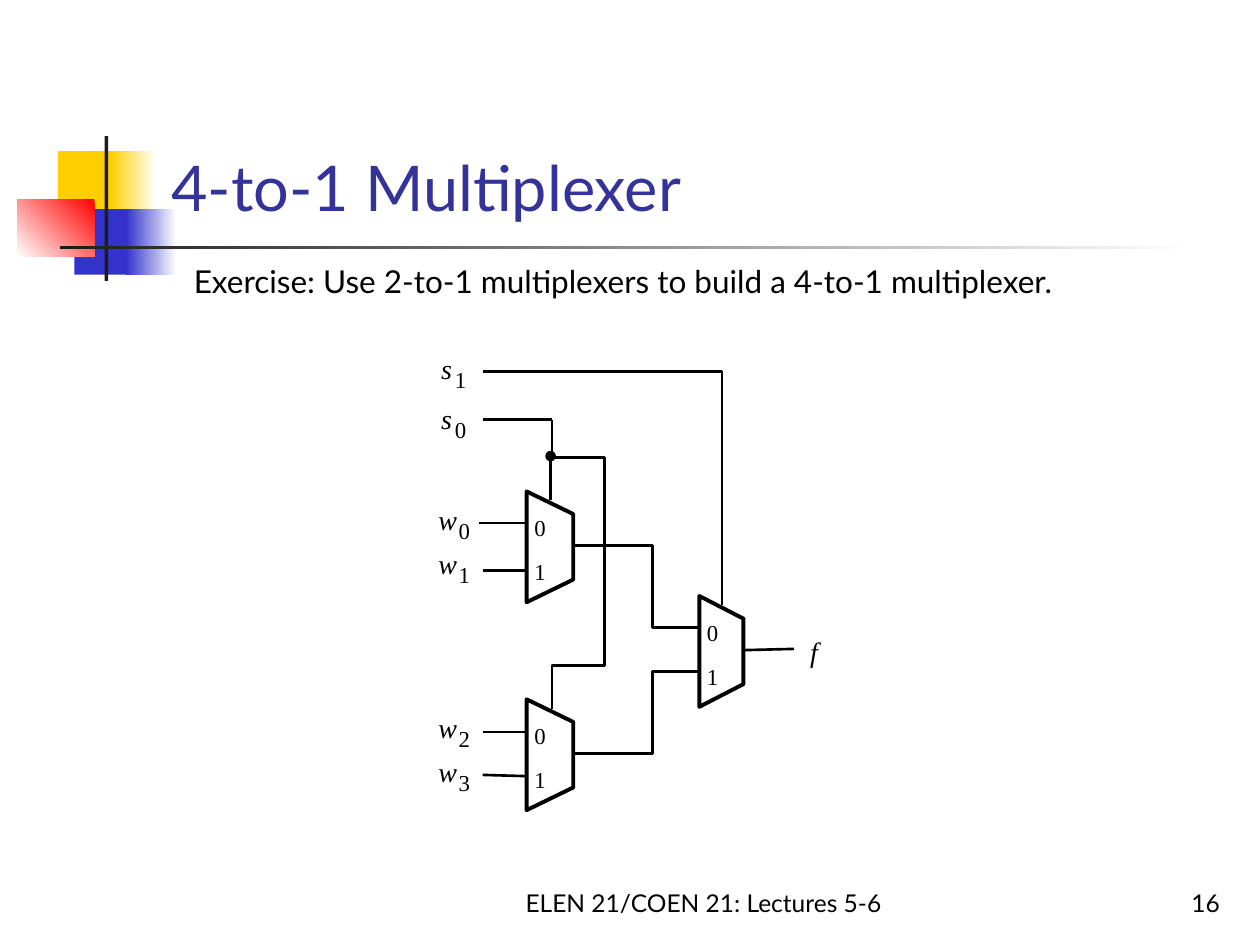
from pptx import Presentation
from pptx.dml.color import RGBColor
from pptx.enum.shapes import MSO_CONNECTOR, MSO_SHAPE
from pptx.enum.text import MSO_ANCHOR, PP_ALIGN
from pptx.oxml.ns import qn
from pptx.util import Inches, Pt

RECT, OVAL = MSO_SHAPE.RECTANGLE, MSO_SHAPE.OVAL
STRAIGHT = MSO_CONNECTOR.STRAIGHT
TOP, BOTTOM = MSO_ANCHOR.TOP, MSO_ANCHOR.BOTTOM
LEFT, CENTER, RIGHT = PP_ALIGN.LEFT, PP_ALIGN.CENTER, PP_ALIGN.RIGHT
SANS, SERIF = "Lato", "Times New Roman"
BLACK, WHITE = "000000", "FFFFFF"
YELLOW, BLUE, RED, DARK = "FFCF01", "3333CC", "FF0000", "1C1C1C"

# Title decoration: box, colours (two make a gradient), clockwise angle
DECORATION = [
    ((0.46, 1.2, 0.48, 0.52), [YELLOW], 0),
    ((0.88, 1.2, 0.36, 0.52), [WHITE, YELLOW], 180),
    ((0.59, 1.66, 0.46, 0.52), [BLUE], 0),
    ((1, 1.66, 0.4, 0.52), [WHITE, BLUE], 180),
    ((0.14, 1.58, 0.61, 0.46), [RED, WHITE], 135),
    ((0.83, 1.08, 0.03, 1.15), [DARK], 0),
    ((0.48, 1.95, 9, 0.03), [WHITE, DARK], 180),
]

# Slide texts: text, box, size, colour, alignment, anchor
TEXTS = [
    ("4-to-1 Multiplexer", (1.26, 0.23, 8.52, 1.6), 36, "333399", LEFT, BOTTOM),
    ("Exercise: Use 2-to-1 multiplexers to build a 4-to-1 multiplexer.",
     (0, 2.03, 9.89, 0.5), 18, BLACK, CENTER, TOP),
    ("ELEN 21/COEN 21: Lectures 5-6", (4, 6.83, 3.17, 0.5), 14, BLACK, CENTER, BOTTOM),
    ("16", (7.7, 6.83, 2.08, 0.5), 14, BLACK, RIGHT, BOTTOM),
]

# Multiplexers: left, top, width
MUXES = [(4.18, 3.9, 0.37), (4.18, 5.55, 0.37), (5.55, 4.73, 0.35)]
MUX_HEIGHT, MUX_SLANT = 0.88, 0.18

# Wires as lists of corners
WIRES = [
    [(3.83, 2.95), (5.73, 2.95), (5.73, 4.8)],                              # s1
    [(3.83, 3.33), (4.38, 3.33)],                                           # s0
    [(4.38, 3.33), (4.38, 3.63)],
    [(4.37, 3.62), (4.37, 3.97)],
    [(4.38, 3.63), (4.8, 3.63), (4.8, 5.28), (4.38, 5.28), (4.38, 5.63)],
    [(3.8, 4.15), (4.18, 4.15)],                                            # w0
    [(3.83, 4.53), (4.18, 4.53)],                                           # w1
    [(3.83, 5.81), (4.18, 5.81)],                                           # w2
    [(3.83, 6.15), (4.18, 6.16)],                                           # w3
    [(4.55, 4.33), (5.18, 4.33), (5.18, 4.98), (5.55, 4.98)],
    [(4.55, 5.98), (5.18, 5.98), (5.18, 5.33), (5.55, 5.33)],
    [(5.9, 5.16), (6.3, 5.15)],                                             # f
]
JUNCTION = (4.37, 3.62)

# Signals: letter, subscript, left, top
SIGNALS = [
    ("s", "1", 3.5, 2.79), ("s", "0", 3.5, 3.19),
    ("w", "0", 3.48, 3.99), ("w", "1", 3.48, 4.34),
    ("w", "2", 3.48, 5.64), ("w", "3", 3.48, 5.99),
    ("f", "", 6.43, 5.04),
]
SUBSCRIPT_LEFT = {"s": 3.61, "w": 3.64}

prs = Presentation()
prs.slide_width, prs.slide_height = Inches(10), Inches(7.5)
shapes = prs.slides.add_slide(prs.slide_layouts[6]).shapes


def color(hex_value):
    return RGBColor.from_string(hex_value)


def add_text(text, box, size, hex_value=BLACK, align=LEFT, anchor=TOP, font=SANS):
    textbox = shapes.add_textbox(*map(Inches, box))
    frame = textbox.text_frame
    frame.text = text
    frame.word_wrap = True
    frame.vertical_anchor = anchor
    paragraph = frame.paragraphs[0]
    paragraph.alignment = align
    style = paragraph.runs[0].font
    style.name, style.size = font, Pt(size)
    style.color.rgb = color(hex_value)
    return textbox


def add_label(text, left, top, size=13, width=0.15, italic=False):
    height = 0.27 if italic else 0.22
    frame = add_text(text, (left, top, width, height), size, font=SERIF).text_frame
    frame.word_wrap = False
    frame.margin_left = frame.margin_right = frame.margin_top = frame.margin_bottom = 0
    frame.paragraphs[0].runs[0].font.italic = italic


def set_line(shape, width):
    shape.line.color.rgb = color(BLACK)
    shape.line.width = Pt(width)


def add_outline(points, width, close=False):
    corners = [(Inches(x), Inches(y)) for x, y in points]
    builder = shapes.build_freeform(*corners[0])
    builder.add_line_segments(corners[1:], close=close)
    outline = builder.convert_to_shape()
    outline.shadow.inherit = False
    outline.fill.background()
    set_line(outline, width)


def add_wire(points):
    if len(points) > 2:
        add_outline(points, 1.5)
        return
    (x1, y1), (x2, y2) = points
    wire = shapes.add_connector(STRAIGHT, Inches(x1), Inches(y1), Inches(x2), Inches(y2))
    properties = wire._element.spPr
    set_line(wire, 1.5)
    properties.append(properties.makeelement(qn("a:effectLst"), {}))


def add_mux(left, top, width):
    right, bottom = left + width, top + MUX_HEIGHT
    add_outline([(right, bottom - MUX_SLANT), (right, top + MUX_SLANT),
                 (left, top), (left, bottom)], 2.25, close=True)
    for index, digit in enumerate("01"):
        add_label(digit, left + 0.06, top + 0.18 + 0.35 * index)


# Title decoration
for box, colors, angle in DECORATION:
    block = shapes.add_shape(RECT, *map(Inches, box))
    block.shadow.inherit = False
    block.line.fill.background()
    if len(colors) == 1:
        block.fill.solid()
        block.fill.fore_color.rgb = color(colors[0])
    else:
        block.fill.gradient()
        block.fill.gradient_angle = 360 - angle
        for stop, hex_value in zip(block.fill.gradient_stops, colors):
            stop.color.rgb = color(hex_value)

# Title, exercise and footer
for entry in TEXTS:
    add_text(*entry)

# Circuit
for wire_points in WIRES:
    add_wire(wire_points)
for mux in MUXES:
    add_mux(*mux)

# Junction: a small dot inside a ring
x, y = JUNCTION
dot = shapes.add_shape(OVAL, Inches(x - 0.02), Inches(y - 0.02), Inches(0.05), Inches(0.05))
ring = shapes.add_shape(OVAL, Inches(x - 0.03), Inches(y - 0.03), Inches(0.06), Inches(0.06))
for circle in (dot, ring):
    circle.shadow.inherit = False
dot.fill.solid()
dot.fill.fore_color.rgb = color(BLACK)
dot.line.fill.background()
ring.fill.background()
set_line(ring, 1.75)

# Signal names
for letter, subscript, left, top in SIGNALS:
    add_label(letter, left, top, size=16, italic=True)
    if subscript:
        add_label(subscript, SUBSCRIPT_LEFT[letter], top + 0.11)

prs.save("out.pptx")
